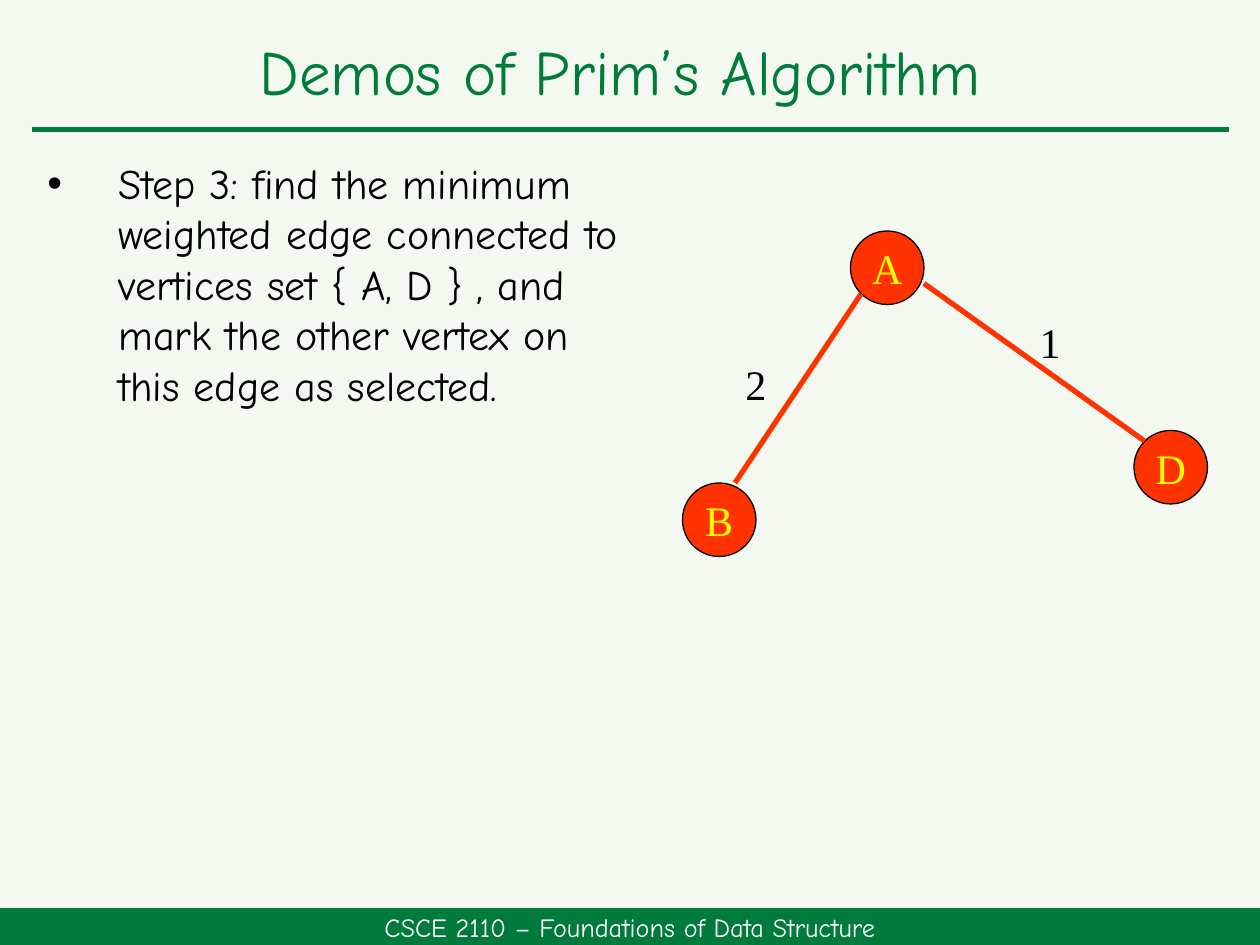
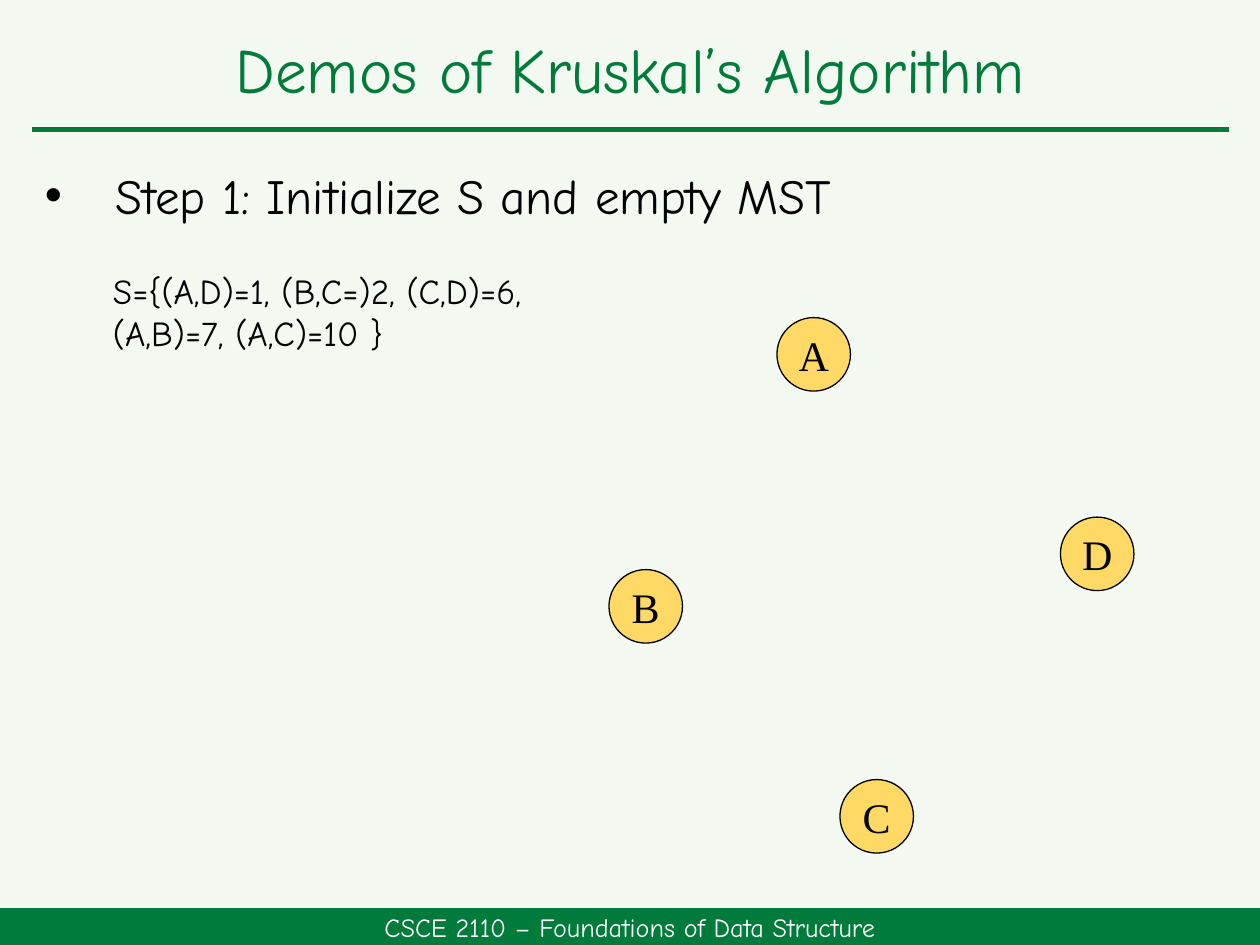
from dataclasses import dataclass

from lxml import etree
from pptx import Presentation
from pptx.dml.color import RGBColor
from pptx.enum.shapes import MSO_CONNECTOR, MSO_SHAPE
from pptx.enum.text import MSO_ANCHOR, PP_ALIGN
from pptx.oxml.ns import qn
from pptx.slide import Slide
from pptx.text.text import TextFrame, _Paragraph as Paragraph
from pptx.util import Pt

# Shared look
GREEN, PALE, BLACK, WHITE = "007B3B", "F3F9F0", "000000", "FFFFFF"
RED, YELLOW, AMBER = "FF3300", "FFFF00", "FFD966"
SANS, SERIF = "Comic Neue", "Times New Roman"
FOOTER = "CSCE 2110 – Foundations of Data Structure"
WIDTH, HEIGHT = 720, 540
NODE_SIZE = 42
BULLET_INDENT = 40.5

# Vertex positions relative to vertex A
VERTICES = {"A": (0, 0), "B": (-96, 144), "C": (36, 264), "D": (162, 114)}


@dataclass(frozen=True)
class Box:
    left: float
    top: float
    width: float
    height: float

    def lengths(self) -> tuple[Pt, Pt, Pt, Pt]:
        return Pt(self.left), Pt(self.top), Pt(self.width), Pt(self.height)


@dataclass(frozen=True)
class TextStyle:
    size: float
    color: str = BLACK
    font: str = SANS
    centered: bool = False
    middle: bool = False
    wrap: bool = True
    bullet: bool = False
    line_spacing: float = 1.0


@dataclass(frozen=True)
class Edge:
    """A weighted edge, with ends and label placed relative to vertex A."""
    start: tuple[float, float]
    end: tuple[float, float]
    weight: str
    label_corner: tuple[float, float]


@dataclass(frozen=True)
class Graph:
    origin: tuple[float, float]
    vertices: str
    fill: str
    text_color: str
    edges: tuple[Edge, ...] = ()


TITLE = TextStyle(36, GREEN, centered=True, middle=True, line_spacing=0.9)
FOOTER_STYLE = TextStyle(15, WHITE, centered=True, middle=True)
WEIGHT = TextStyle(24, font=SERIF, centered=True, middle=True, wrap=False)

PRIM_GRAPH = Graph(
    (486, 132), "ABD", RED, YELLOW,
    (
        Edge((6, 36), (-66, 144), "2", (-78, 72)),
        Edge((42, 30), (168, 120), "1", (90, 48)),
    ),
)
KRUSKAL_GRAPH = Graph((444, 181.5), "ABCD", AMBER, BLACK)


def rgb(color: str) -> RGBColor:
    return RGBColor.from_string(color)


def add_bullet(paragraph: Paragraph) -> None:
    properties = paragraph._p.get_or_add_pPr()
    properties.set("marL", str(Pt(BULLET_INDENT)))
    properties.set("indent", str(-Pt(BULLET_INDENT)))
    etree.SubElement(properties, qn("a:buFont")).set("typeface", "Arial")
    etree.SubElement(properties, qn("a:buChar")).set("char", "•")


def write(frame: TextFrame, text: str, style: TextStyle) -> None:
    frame.word_wrap = style.wrap
    frame.vertical_anchor = MSO_ANCHOR.MIDDLE if style.middle else MSO_ANCHOR.TOP
    paragraph = frame.paragraphs[0]
    paragraph.alignment = PP_ALIGN.CENTER if style.centered else PP_ALIGN.LEFT
    paragraph.line_spacing = style.line_spacing
    if style.bullet:
        add_bullet(paragraph)
    run = paragraph.add_run()
    run.text = text
    run.font.size = Pt(style.size)
    run.font.name = style.font
    run.font.color.rgb = rgb(style.color)


def add_text(slide: Slide, box: Box, text: str, style: TextStyle) -> None:
    write(slide.shapes.add_textbox(*box.lengths()).text_frame, text, style)


def add_filled(slide: Slide, kind: MSO_SHAPE, box: Box, fill: str,
               text: str, style: TextStyle, outline: str | None = None) -> None:
    shape = slide.shapes.add_shape(kind, *box.lengths())
    shape.shadow.inherit = False
    shape.fill.solid()
    shape.fill.fore_color.rgb = rgb(fill)
    if outline:
        shape.line.color.rgb = rgb(outline)
        shape.line.width = Pt(0.75)
    else:
        shape.line.fill.background()
    frame = shape.text_frame
    frame.margin_left = frame.margin_right = Pt(0)
    frame.margin_top = frame.margin_bottom = Pt(0)
    write(frame, text, style)


def add_line(slide: Slide, start: tuple[float, float],
             end: tuple[float, float], color: str) -> None:
    points = [Pt(value) for value in (*start, *end)]
    connector = slide.shapes.add_connector(MSO_CONNECTOR.STRAIGHT, *points)
    connector.line.color.rgb = rgb(color)
    connector.line.width = Pt(3)
    etree.SubElement(connector._element.spPr, qn("a:effectLst"))


def add_graph(slide: Slide, graph: Graph) -> None:
    def place(offset: tuple[float, float]) -> tuple[float, float]:
        return graph.origin[0] + offset[0], graph.origin[1] + offset[1]

    node_style = TextStyle(24, graph.text_color, SERIF, True, True, wrap=False)
    for name in graph.vertices:
        box = Box(*place(VERTICES[name]), NODE_SIZE, NODE_SIZE)
        add_filled(slide, MSO_SHAPE.OVAL, box, graph.fill, name, node_style, BLACK)
    for edge in graph.edges:
        add_text(slide, Box(*place(edge.label_corner), 48, 30), edge.weight, WEIGHT)
        add_line(slide, place(edge.start), place(edge.end), RED)


def add_base_slide(presentation: Presentation, title: str, title_box: Box) -> Slide:
    """Add a slide with the background, title, rule and footer band."""
    slide = presentation.slides.add_slide(presentation.slide_layouts[6])
    slide.background.fill.solid()
    slide.background.fill.fore_color.rgb = rgb(PALE)
    add_line(slide, (18, 74), (702, 74), GREEN)
    add_filled(slide, MSO_SHAPE.RECTANGLE, Box(0, 519, WIDTH, 21), GREEN,
               FOOTER, FOOTER_STYLE)
    add_text(slide, title_box, title, TITLE)
    return slide


def main() -> None:
    presentation = Presentation()
    presentation.slide_width, presentation.slide_height = Pt(WIDTH), Pt(HEIGHT)

    # Prim: step 3
    slide = add_base_slide(presentation, "Demos of Prim’s Algorithm ",
                           Box(20, 12, 681, 62))
    add_text(slide, Box(20, 86.5, 348, 324),
             "Step 3: find the minimum weighted edge connected to vertices set "
             "{ A, D } , and mark the other vertex on this edge as selected.",
             TextStyle(24, bullet=True))
    add_graph(slide, PRIM_GRAPH)

    # Kruskal: step 1
    slide = add_base_slide(presentation, "Demos of Kruskal’s Algorithm",
                           Box(18.5, 12, 683, 60))
    add_text(slide, Box(18.5, 91, 683, 44), "Step 1: Initialize S and empty MST",
             TextStyle(28, bullet=True))
    add_text(slide, Box(57.5, 150.5, 274.5, 63.5),
             "S={(A,D)=1, (B,C=)2, (C,D)=6, (A,B)=7, (A,C)=10 }", TextStyle(20))
    add_graph(slide, KRUSKAL_GRAPH)

    presentation.save("out.pptx")


if __name__ == "__main__":
    main()
